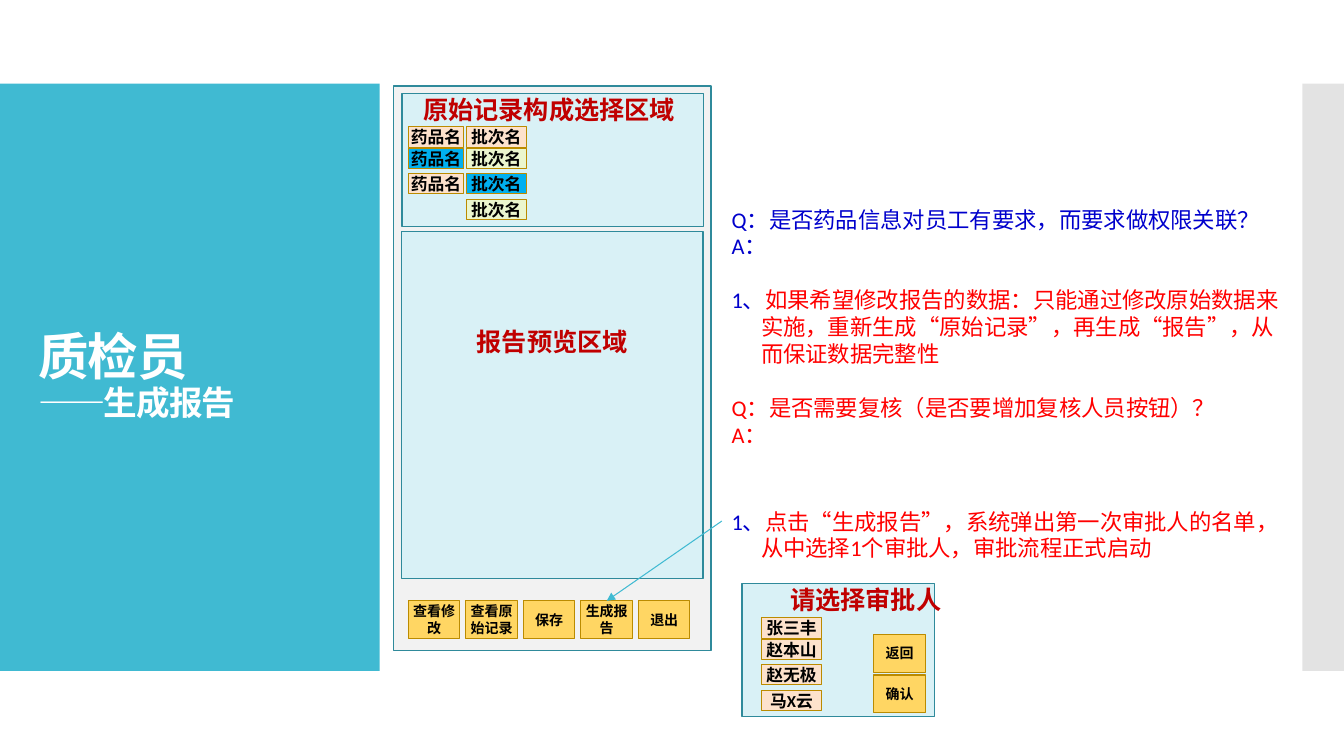
from dataclasses import dataclass

from lxml import etree
from pptx import Presentation
from pptx.dml.color import RGBColor
from pptx.enum.shapes import MSO_CONNECTOR, MSO_SHAPE
from pptx.enum.text import MSO_ANCHOR, MSO_AUTO_SIZE, PP_ALIGN
from pptx.oxml.ns import qn
from pptx.util import Cm, Pt

RECTANGLE = MSO_SHAPE.RECTANGLE
STRAIGHT = MSO_CONNECTOR.STRAIGHT
TOP, MIDDLE = MSO_ANCHOR.TOP, MSO_ANCHOR.MIDDLE
LEFT, CENTER = PP_ALIGN.LEFT, PP_ALIGN.CENTER
GROW, FIXED = MSO_AUTO_SIZE.SHAPE_TO_FIT_TEXT, MSO_AUTO_SIZE.NONE


@dataclass(frozen=True)
class Theme:
    font: str = "Calibri"
    teal: str = "40BAD2"
    teal_edge: str = "2F8A9B"
    pale: str = "D9F1F6"
    window: str = "F2F2F2"
    side: str = "C8C8C8"
    gold: str = "FFD663"
    gold_edge: str = "BB8B00"
    peach: str = "FDE2CC"
    lime: str = "EBF6CE"
    selected: str = "00B0F0"
    heading: str = "C00000"
    question: str = "0000CC"
    answer: str = "FF0000"
    black: str = "000000"
    white: str = "FFFFFF"
    title_size: int = 36
    subtitle_size: int = 24
    heading_size: int = 18
    note_size: int = 16
    tag_size: int = 12
    button_size: int = 10
    blank_line: float = 19.3


class Page:
    def __init__(self, deck, theme):
        self.theme = theme
        self.shapes = deck.slides.add_slide(deck.slide_layouts[6]).shapes

    def span(self, para, text, size, color, bold=False):
        span = para.add_run()
        span.text = text
        formats = {"name": self.theme.font, "size": Pt(size), "bold": bold}
        for name, value in formats.items():
            setattr(span.font, name, value)
        span.font.color.rgb = RGBColor.from_string(color)
        return span

    def frame(self, shape, **formats):
        for name, value in {"word_wrap": True, **formats}.items():
            setattr(shape.text_frame, name, value)
        return shape.text_frame

    def panel(self, area, fill, edge=None, width=0.85, opacity=None):
        shape = self.shapes.add_shape(RECTANGLE, *map(Cm, area))
        shape.shadow.inherit = False
        shape.fill.solid()
        shape.fill.fore_color.rgb = RGBColor.from_string(fill)
        if opacity:
            color = shape.fill._xPr.find(".//" + qn("a:srgbClr"))
            etree.SubElement(color, qn("a:alpha"), val=str(opacity * 1000))
        if edge:
            shape.line.color.rgb = RGBColor.from_string(edge)
            shape.line.width = Pt(width)
        else:
            shape.line.fill.background()
        return shape

    def label(self, area, text, fill, size, anchor):
        shape = self.panel(area, fill, self.theme.gold_edge, 0.75)
        sides = ("left", "right", "top", "bottom")
        margins = {f"margin_{side}": 0 for side in sides}
        para = self.frame(shape, vertical_anchor=anchor, **margins).paragraphs[0]
        para.alignment = CENTER
        self.span(para, text, size, self.theme.black, True)

    def tag(self, left, top, width, text, fill):
        self.label((left, top, width, 0.51), text, fill, self.theme.tag_size, TOP)

    def button(self, left, top, text):
        theme = self.theme
        self.label((left, top, 1.3, 0.95), text, theme.gold, theme.button_size, MIDDLE)

    def heading(self, area, text):
        box = self.shapes.add_textbox(*map(Cm, area))
        para = self.frame(box, auto_size=GROW).paragraphs[0]
        para.alignment = CENTER
        self.span(para, text, self.theme.heading_size, self.theme.heading, True)

    def title(self, area, text, subtitle):
        theme = self.theme
        box = self.shapes.add_textbox(*map(Cm, area))
        para = self.frame(box, auto_size=FIXED, vertical_anchor=MIDDLE).paragraphs[0]
        para.line_spacing = 0.9
        spans = [self.span(para, text, theme.title_size, theme.white, True)]
        para.add_line_break()
        spans.append(self.span(para, subtitle, theme.subtitle_size, theme.white, True))
        for span in spans:
            span.font._element.set("spc", "-60")

    def notes(self, area, paragraphs):
        box = self.shapes.add_textbox(*map(Cm, area))
        frame = self.frame(box, auto_size=GROW)
        for index, (gap, spans) in enumerate(paragraphs):
            para = frame.add_paragraph() if index else frame.paragraphs[0]
            formats = {"alignment": LEFT, "space_before": Pt(gap)}
            for name, value in formats.items():
                setattr(para, name, value)
            indent = Cm(0.74)
            properties = para._p.get_or_add_pPr()
            properties.set("marL", str(indent))
            properties.set("indent", str(-indent))
            for text, color in spans:
                self.span(para, text, self.theme.note_size, color)

    def arrow(self, *ends):
        arrow = self.shapes.add_connector(STRAIGHT, *map(Cm, ends))
        arrow.line.color.rgb = RGBColor.from_string(self.theme.teal)
        arrow.line.width = Pt(0.75)
        etree.SubElement(arrow.line._get_or_add_ln(), qn("a:tailEnd"), type="triangle")
        etree.SubElement(arrow._element.spPr, qn("a:effectLst"))


def main():
    deck = Presentation()
    deck.slide_width, deck.slide_height = Cm(33.87), Cm(19.05)
    theme = Theme()
    page = Page(deck, theme)

    page.panel((0, 2.11, 9.57, 14.8), theme.teal)
    page.panel((32.82, 2.11, 1.05, 14.8), theme.side, opacity=50)
    page.title((0.71, 3.12, 8.18, 12.78), "质检员", "——生成报告")

    page.panel((9.92, 2.17, 8, 14.22), theme.window, theme.teal_edge)
    page.panel((10.13, 2.36, 7.6, 3.35), theme.pale, theme.teal_edge)
    page.heading((10.21, 2.24, 7.26, 1.02), "原始记录构成选择区域")
    page.panel((10.12, 5.84, 7.6, 8.74), theme.pale, theme.teal_edge)
    page.heading((10.39, 8.1, 7.06, 1.02), "报告预览区域")

    tag_tops = (3.2, 3.75, 4.38, 5.03)
    drug_fills = (theme.peach, theme.selected, theme.peach)
    batch_fills = (theme.peach, theme.lime, theme.selected, theme.lime)
    for top, fill in zip(tag_tops, drug_fills):
        page.tag(10.29, top, 1.4, "药品名", fill)
    for top, fill in zip(tag_tops, batch_fills):
        page.tag(11.76, top, 1.5, "批次名", fill)

    actions = ("查看修改", "查看原始记录", "保存", "生成报告", "退出")
    for index, action in enumerate(actions):
        page.button(10.29 + 1.45 * index, 15.14, action)

    blue, red, blank = theme.question, theme.answer, theme.blank_line
    page.notes((18.19, 5.06, 14.53, 7.1), [
        (0, [("Q：是否药品信息对员工有要求，而要求做权限关联？", blue)]),
        (0, [("A：", blue)]),
        (blank, [("1、", blue), ("如果希望修改报告的数据：只能通过修改原始数据来实施，重新生成“原始记录”，再生成“报告”，从而保证数据完整性", red)]),
        (blank, [("Q：是否需要复核（是否要增加复核人员按钮）？", red)]),
        (0, [("A：", red)]),
    ])
    page.notes((18.19, 12.67, 14.53, 1.64), [
        (0, [("1、", blue), ("点击“生成报告”，系统弹出第一次审批人的名单，从中选择1个审批人，审批流程正式启动", red)]),
    ])
    page.arrow(18.19, 13.13, 15.29, 15.14)

    page.panel((18.7, 14.71, 4.85, 3.35), theme.pale, theme.teal_edge)
    page.heading((18.19, 14.6, 7.26, 1.02), "请选择审批人")
    for top, approver in zip(tag_tops, ("张三丰", "赵本山", "赵无极", "马X云")):
        page.tag(19.2, top + 12.37, 1.5, approver, theme.peach)
    for top, action in ((15.99, "返回"), (17.01, "确认")):
        page.button(22.02, top, action)

    deck.save("out.pptx")


if __name__ == "__main__":
    main()
